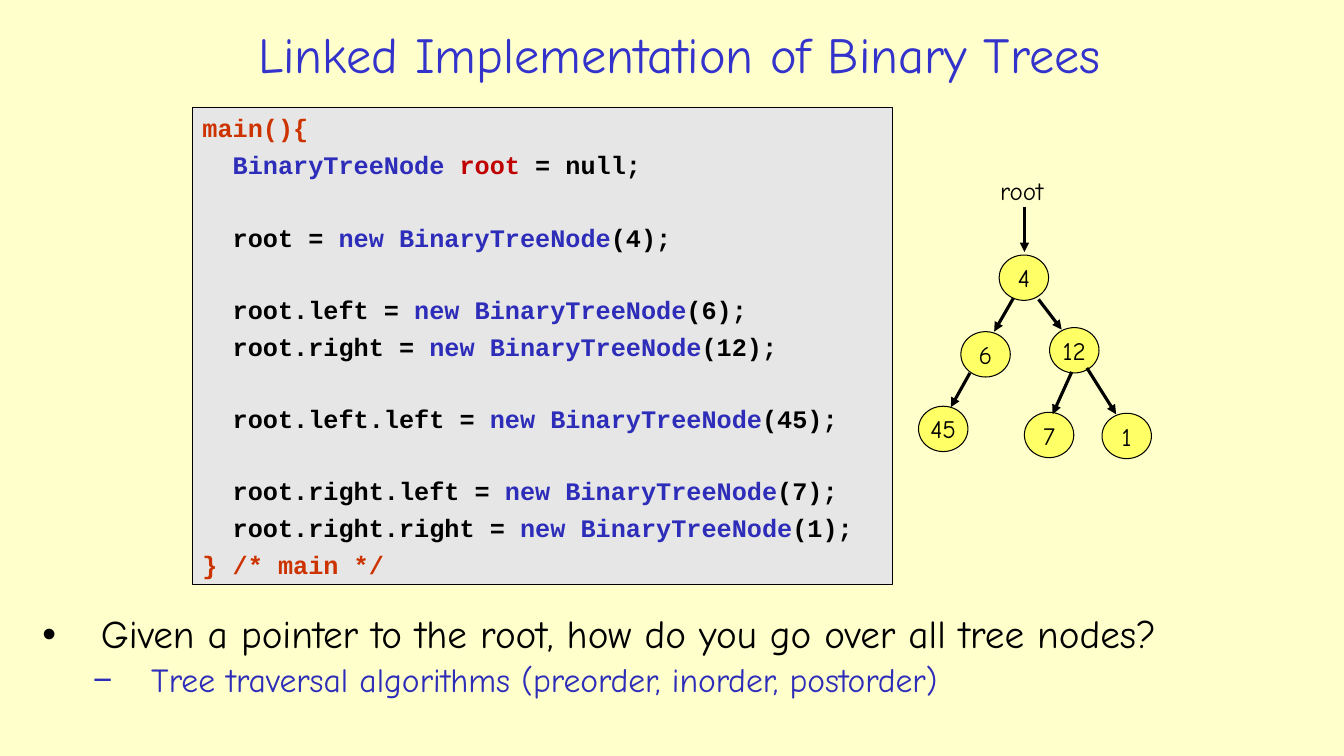
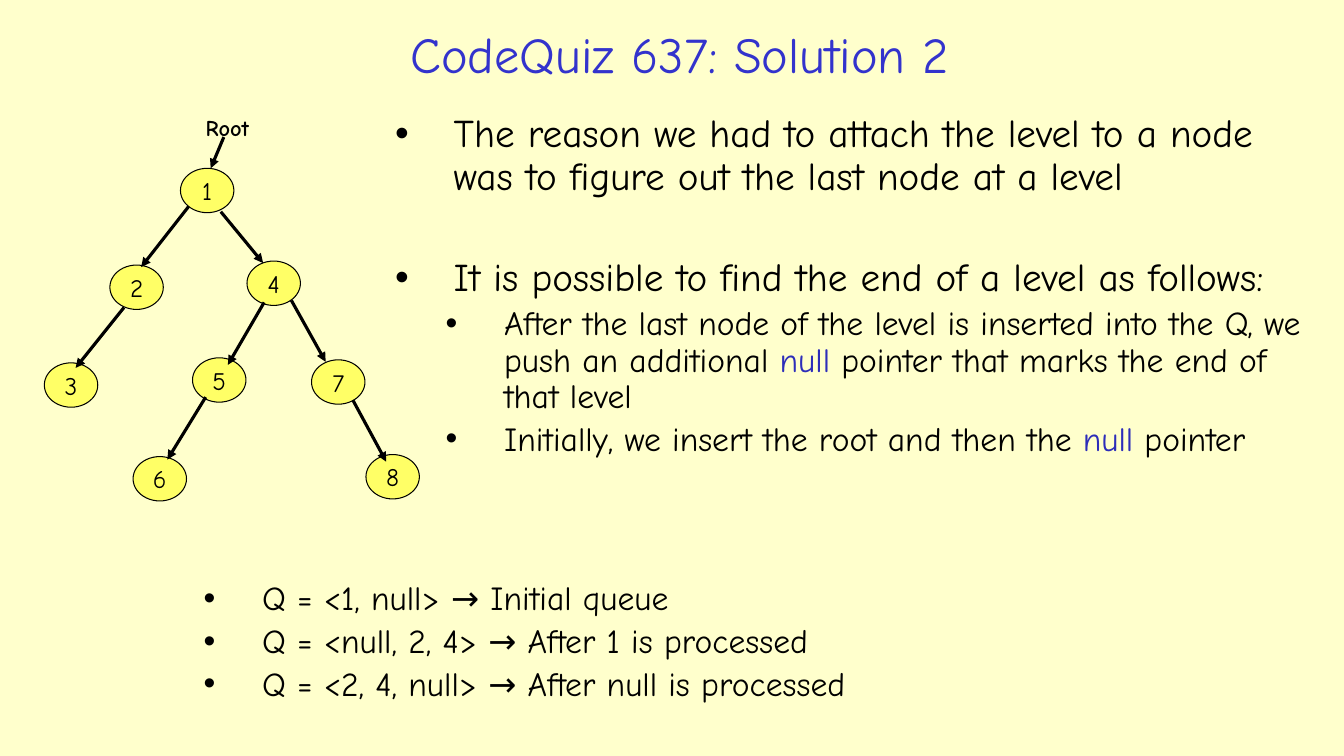
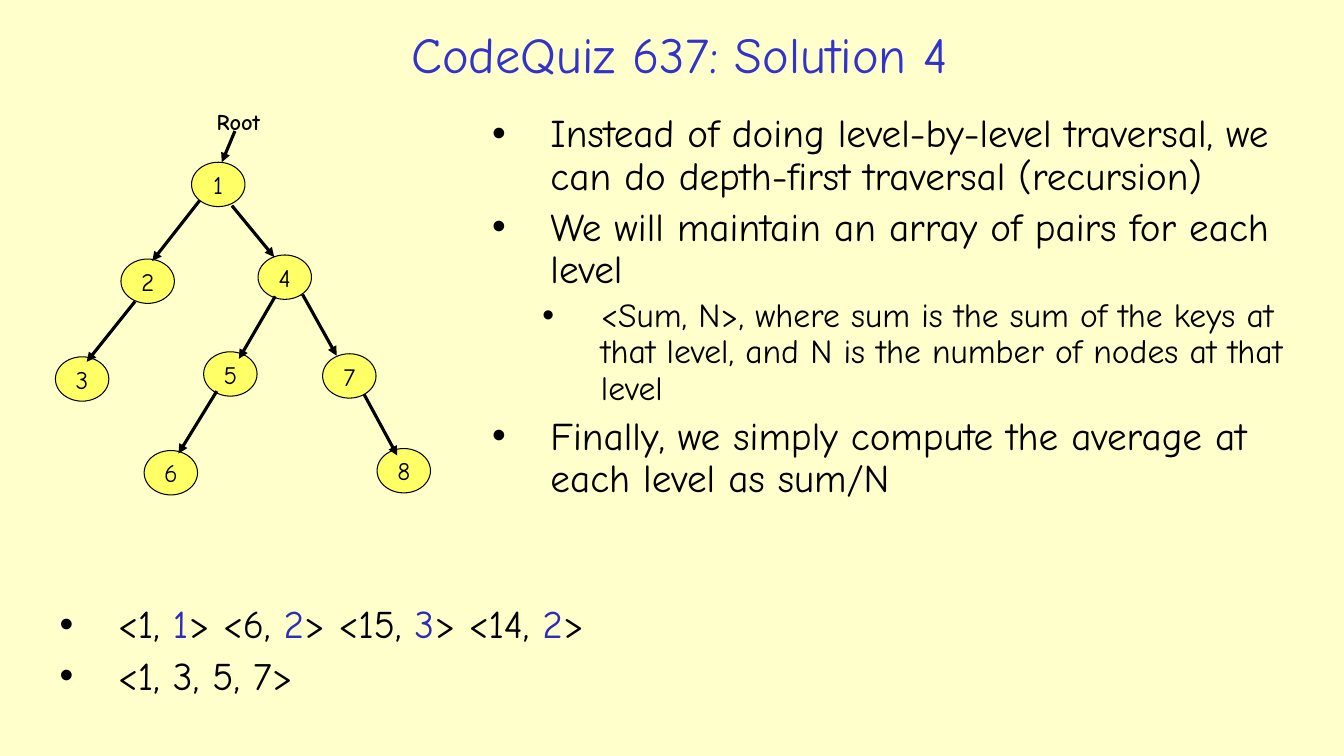
from pptx import Presentation
from pptx.dml.color import RGBColor
from pptx.enum.shapes import MSO_CONNECTOR, MSO_SHAPE
from pptx.enum.text import MSO_ANCHOR, MSO_AUTO_SIZE, PP_ALIGN
from pptx.oxml.ns import qn
from pptx.util import Pt
from lxml.etree import SubElement

PX = 9144  # EMU per px, 100 px to the inch
HAND, MONO = "Comic Neue", "Courier New"
BLACK, BLUE, TITLE_BLUE = "000000", "2D2DB9", "3333CC"
RED, ORANGE = "C00000", "CC3300"
PAPER, CODE_GREY, NODE_YELLOW = "FFFFCC", "E6E6E6", "FFFF66"


def rgb(color):
    return RGBColor.from_string(color)


def write(frame, text, size=18, color=BLACK, font=HAND, bold=False,
          align=PP_ALIGN.LEFT, level=0, before=0, line=1.0, bullet=None):
    """Add one paragraph; text is a string or a list of (text, color) runs."""
    first = not frame.text
    paragraph = frame.paragraphs[0] if first else frame.add_paragraph()
    paragraph.alignment = align
    paragraph.level = level
    paragraph.line_spacing = line
    paragraph.space_before = Pt(0 if first else before)
    if bullet:
        properties = paragraph._p.get_or_add_pPr()
        properties.set("marL", str((58 + 50 * level) * PX))
        properties.set("indent", str(-58 * PX))
        SubElement(properties, qn("a:buFont")).set("typeface", "Arial")
        SubElement(properties, qn("a:buChar")).set("char", bullet)
    for words, tint in [(text, color)] if isinstance(text, str) else text:
        run = paragraph.add_run()
        run.text = words
        run.font.size, run.font.name, run.font.bold = Pt(size), font, bold
        run.font.color.rgb = rgb(tint)


# Shared look: size, background and titles
deck = Presentation()
deck.slide_width, deck.slide_height = 1333 * PX, 750 * PX
deck.slide_master.background.fill.solid()
deck.slide_master.background.fill.fore_color.rgb = rgb(PAPER)

TITLE_AND_CONTENT, TWO_CONTENT = 1, 3
slides = []
for title, layout in [
    ("Linked Implementation of Binary Trees", TITLE_AND_CONTENT),
    ("CodeQuiz 637: Solution 2", TWO_CONTENT),
    ("CodeQuiz 637: Solution 4", TWO_CONTENT),
]:
    slide = deck.slides.add_slide(deck.slide_layouts[layout])
    heading = slide.shapes.title
    heading.left, heading.top, heading.width, heading.height = (
        197 * PX, 15 * PX, 954 * PX, 76 * PX)
    heading.text_frame.auto_size = MSO_AUTO_SIZE.NONE
    heading.text_frame.vertical_anchor = MSO_ANCHOR.MIDDLE
    write(heading.text_frame, title, size=36, color=TITLE_BLUE, align=PP_ALIGN.CENTER)
    slides.append(slide)
linked, queue, recursion = slides

# Code listing
listing = linked.shapes.add_shape(
    MSO_SHAPE.RECTANGLE, 191 * PX, 107 * PX, 694 * PX, 473 * PX)
listing.shadow.inherit = False
listing.fill.solid()
listing.fill.fore_color.rgb = rgb(CODE_GREY)
listing.line.color.rgb = rgb(BLACK)
listing.line.width = Pt(0.75)
listing.text_frame.word_wrap = True
listing.text_frame.vertical_anchor = MSO_ANCHOR.TOP

LINE_GAP, BLOCK_GAP = 4.8, 30
code = [
    (LINE_GAP, [("main(){", ORANGE)]),
    (LINE_GAP, [("  BinaryTreeNode ", BLUE), ("root ", RED), ("= null;", BLACK)]),
]
for gap, target, key in [
    (BLOCK_GAP, "root", 4),
    (BLOCK_GAP, "root.left", 6),
    (LINE_GAP, "root.right", 12),
    (BLOCK_GAP, "root.left.left", 45),
    (BLOCK_GAP, "root.right.left", 7),
    (LINE_GAP, "root.right.right", 1),
]:
    code.append((gap, [(f"  {target} = ", BLACK), ("new BinaryTreeNode", BLUE),
                       (f"({key});", BLACK)]))
code.append((LINE_GAP, [("} /* main */", ORANGE)]))
for gap, runs in code:
    write(listing.text_frame, runs, font=MONO, bold=True, before=gap)

# Trees: root label, nodes (key, left, top) and arrows (from x, y, to x, y)
small_tree = {
    "label": ("root", 982, 169, 71, 40, 18, False),
    "node_size": (49, 45),
    "nodes": [(4, 991, 253), (6, 953, 329), (12, 1041, 325),
              (45, 911, 403), (7, 1016, 409), (1, 1093, 410)],
    "arrows": [(1016, 205, 1016, 250), (1030, 297, 1053, 327),
               (1005, 296, 986, 329), (962, 370, 943, 404),
               (1063, 369, 1044, 411), (1078, 365, 1107, 411)],
}
level_tree = {
    "label": ("Root", 194, 108, 69, 37, 16, True),
    "node_size": (53, 44),
    "nodes": [(1, 179, 167), (2, 109, 263), (4, 245, 259), (3, 44, 360),
              (5, 191, 355), (7, 309, 357), (6, 132, 453), (8, 363, 451)],
    "arrows": [(222, 136, 209, 167), (187, 205, 140, 265), (219, 210, 261, 261),
               (123, 305, 75, 365), (262, 300, 226, 362), (289, 298, 323, 359),
               (204, 394, 166, 456), (350, 397, 383, 458)],
}
for slide, tree, dx, dy in [
    (linked, small_tree, 0, 0),
    (queue, level_tree, 0, 0),
    (recursion, level_tree, 11, -6),
]:
    node_width, node_height = tree["node_size"]
    for key, left, top in tree["nodes"]:
        node = slide.shapes.add_shape(
            MSO_SHAPE.OVAL, (left + dx) * PX, (top + dy) * PX,
            node_width * PX, node_height * PX)
        node.shadow.inherit = False
        node.fill.solid()
        node.fill.fore_color.rgb = rgb(NODE_YELLOW)
        node.line.color.rgb = rgb(BLACK)
        node.line.width = Pt(0.75)
        node.text_frame.word_wrap = False
        node.text_frame.vertical_anchor = MSO_ANCHOR.MIDDLE
        write(node.text_frame, str(key), align=PP_ALIGN.CENTER)

    for x1, y1, x2, y2 in tree["arrows"]:
        arrow = slide.shapes.add_connector(
            MSO_CONNECTOR.STRAIGHT, (x1 + dx) * PX, (y1 + dy) * PX,
            (x2 + dx) * PX, (y2 + dy) * PX)
        arrow.line.color.rgb = rgb(BLACK)
        arrow.line.width = Pt(2.25)
        SubElement(arrow.line._get_or_add_ln(), qn("a:tailEnd")).set("type", "triangle")
        SubElement(arrow._element.spPr, qn("a:effectLst"))

    name, left, top, width, height, size, bold = tree["label"]
    label = slide.shapes.add_textbox(
        (left + dx) * PX, (top + dy) * PX, width * PX, height * PX)
    label.text_frame.word_wrap = False
    write(label.text_frame, name, size=size, bold=bold)

# Bullet lists
MAIN = dict(size=28, before=6.4, bullet="•")
SUB = dict(size=24, before=4.6, bullet="•", level=1)
STEP = dict(size=24, before=4.6, bullet="•")
APART = dict(MAIN, before=42.5)
DASH = dict(SUB, bullet="−", color=BLUE)

pairs = [("<1, ", BLACK), ("1", BLUE), ("> <6, ", BLACK), ("2", BLUE),
         ("> <15, ", BLACK), ("3", BLUE), ("> <14, ", BLACK), ("2", BLUE), (">", BLACK)]
for slide, index, (left, top, width, height), items in [
    (linked, 1, (32, 605, 1267, 116), [
        (MAIN, "Given a pointer to the root, how do you go over all tree nodes?"),
        (DASH, "Tree traversal algorithms (preorder, inorder, postorder)"),
    ]),
    (queue, 1, (382, 108, 920, 465), [
        (MAIN, "The reason we had to attach the level to a node was to figure out "
               "the last node at a level"),
        (APART, "It is possible to find the end of a level as follows:"),
        (SUB, [("After the last node of the level is inserted into the Q, we push "
                "an additional ", BLACK), ("null ", BLUE),
               ("pointer that marks the end of that level", BLACK)]),
        (SUB, [("Initially, we insert the root and then the ", BLACK),
               ("null ", BLUE), ("pointer", BLACK)]),
    ]),
    (queue, 2, (192, 572, 944, 163), [
        (STEP, "Q = <1, null> → Initial queue"),
        (STEP, "Q = <null, 2, 4> → After 1 is processed"),
        (STEP, "Q = <2, 4, null> → After null is processed"),
    ]),
    (recursion, 1, (478, 108, 805, 460), [
        (MAIN, "Instead of doing level-by-level traversal, we can do depth-first "
               "traversal (recursion)"),
        (MAIN, "We will maintain an array of pairs for each level"),
        (SUB, "<Sum, N>, where sum is the sum of the keys at that level, and N is "
              "the number of nodes at that level"),
        (MAIN, "Finally, we simply compute the average at each level as sum/N"),
    ]),
    (recursion, 2, (49, 595, 944, 127), [
        (MAIN, pairs),
        (MAIN, "<1, 3, 5, 7>"),
    ]),
]:
    body = slide.placeholders[index]
    body.left, body.top, body.width, body.height = (
        left * PX, top * PX, width * PX, height * PX)
    body.text_frame.auto_size = MSO_AUTO_SIZE.NONE
    body.text_frame.vertical_anchor = MSO_ANCHOR.TOP
    for style, text in items:
        write(body.text_frame, text, line=0.9, **style)

deck.save("out.pptx")
